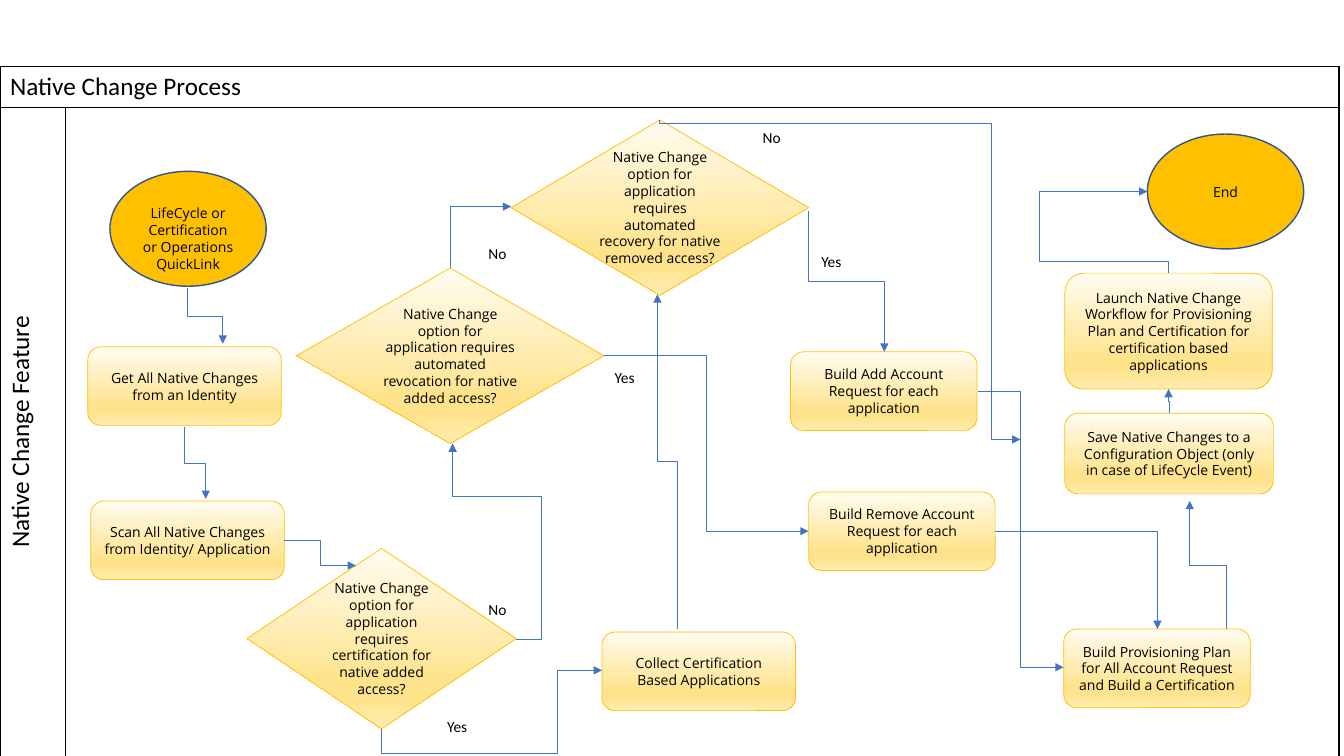
from lxml import etree
from pptx import Presentation
from pptx.dml.color import RGBColor
from pptx.enum.shapes import MSO_CONNECTOR, MSO_SHAPE
from pptx.enum.text import MSO_ANCHOR, PP_ALIGN
from pptx.oxml.ns import qn
from pptx.util import Inches, Pt

ELBOW = MSO_CONNECTOR.ELBOW
OVAL, STEP, CHOICE = MSO_SHAPE.OVAL, MSO_SHAPE.ROUNDED_RECTANGLE, MSO_SHAPE.DIAMOND
CENTER, LEFT, MIDDLE = PP_ALIGN.CENTER, PP_ALIGN.LEFT, MSO_ANCHOR.MIDDLE

# Every length counts columns and rows of this square grid.
CELL = Inches(0.1)
COLORS = {"text": "000000", "oval": "FFC000", "oval line": "325491",
          "step line": "FFC000", "route": "4472C4", "border": "000000"}
GRADIENT = [(0, "FFFCF2"), (51, "FFEBAC"), (74, "FFE38C"), (83, "FFE38C"), (100, "FFECB2")]
FONTS = {"lane": {"name": "Calibri", "size": Pt(18)},
         "box": {"name": "Open Sans", "size": Pt(10)},
         "label": {"name": "Calibri", "size": Pt(11)}}
BOX_FRAME = {"word_wrap": True, "vertical_anchor": MIDDLE}
LABEL_FRAME = {**BOX_FRAME, "margin_left": 0, "margin_right": 0}


def write(frame, text, font, alignment=CENTER):
    """Fill a text frame with one paragraph in the named font format."""
    para = frame.paragraphs[0]
    para.alignment = alignment
    span = para.add_run()
    span.text = text
    for name, value in FONTS[font].items():
        setattr(span.font, name, value)
    span.font.color.rgb = RGBColor.from_string(COLORS["text"])


def add_route(page, start, end, axis, shares):
    """Draw an elbow arrow leaving along axis, turning at shares of its extent."""
    across, down = end[0] - start[0], end[1] - start[1]
    center = [(a + b) / 2 for a, b in zip(start, end)]
    if axis == "x":
        width, height, turn = abs(across), abs(down), 0
        flips = [across < 0, down < 0]
    else:
        width, height, turn = abs(down), abs(across), 90
        flips = [down < 0, across > 0]
        if flips[0] != flips[1]:
            turn, flips = 270, flips[::-1]
    left, top = center[0] - width / 2, center[1] - height / 2
    corners = [round(n * CELL) for n in (left, top, left + width, top + height)]
    route = page.shapes.add_connector(ELBOW, *corners)
    route.line.color.rgb = RGBColor.from_string(COLORS["route"])
    route.line.width = Pt(0.5)
    properties = route.element.spPr
    frame = properties.find(qn("a:xfrm"))
    frame.set("rot", str(turn * 60000))
    for name, flip in zip(("flipH", "flipV"), flips):
        frame.set(name, str(int(flip)))
    geometry = properties.find(qn("a:prstGeom"))
    geometry.set("prst", f"bentConnector{len(shares) + 2}")
    guides = geometry.find(qn("a:avLst"))
    for number, share in enumerate(shares, 1):
        etree.SubElement(guides, qn("a:gd"), name=f"adj{number}",
                         fmla=f"val {round(share * 100000)}")
    etree.SubElement(properties.find(qn("a:ln")), qn("a:tailEnd"), type="triangle")
    etree.SubElement(properties, qn("a:effectLst"))


deck = Presentation()
deck.slide_width, deck.slide_height = Inches(13.33), Inches(7.5)
page = deck.slides.add_slide(deck.slide_layouts[6])

# Swimlane table
columns, rows = (6.5, 126.3), (4, 64.4)
lanes = page.shapes.add_table(2, 2, 0, round(6.6 * CELL), round(sum(columns) * CELL),
                              round(sum(rows) * CELL)).table
for column, width in zip(lanes.columns, columns):
    column.width = round(width * CELL)
for row, height in zip(lanes.rows, rows):
    row.height = round(height * CELL)
for cell in lanes.iter_cells():
    properties = cell._tc.get_or_add_tcPr()
    for side in ("lnL", "lnR", "lnT", "lnB"):
        border = etree.SubElement(properties, qn(f"a:{side}"), w=str(Pt(1)))
        paint = etree.SubElement(border, qn("a:solidFill"))
        etree.SubElement(paint, qn("a:srgbClr"), val=COLORS["border"])
    cell.fill.background()
lanes.cell(0, 0).merge(lanes.cell(0, 1))
write(lanes.cell(0, 0).text_frame, "Native Change Process", "lane", LEFT)
write(lanes.cell(1, 0).text_frame, "Native Change Feature", "lane")
lanes.cell(1, 0)._tc.get_or_add_tcPr().set("vert", "vert270")

# Process boxes: kind, left, top, width, height, text
question = "Native Change option for application requires "
boxes = [
    (OVAL, 10.9, 17, 15.5, 11.4, "LifeCycle or Certification or Operations QuickLink"),
    (STEP, 8.7, 34.4, 19.2, 7.8, "Get All Native Changes from an Identity"),
    (STEP, 9, 49.7, 19.2, 7.8, "Scan All Native Changes from Identity/ Application"),
    (CHOICE, 24.5, 54.4, 26.7, 17.9, question + "certification for native added access?"),
    (CHOICE, 29.4, 26.6, 30.5, 17.4,
     question + "automated revocation for native added access?"),
    (CHOICE, 50.7, 11.9, 29.5, 17.4,
     question + "automated recovery for native removed access?"),
    (STEP, 59.7, 62.7, 19.2, 7.8, "Collect Certification Based Applications"),
    (STEP, 78.4, 34.9, 18.5, 7.8, "Build Add Account Request for each application"),
    (STEP, 80.2, 48.8, 18.5, 7.8, "Build Remove Account Request for each application"),
    (STEP, 105.5, 62.4, 18.5, 7.8,
     "Build Provisioning Plan for All Account Request and Build a Certification"),
    (STEP, 105.6, 41, 20.7, 8,
     "Save Native Changes to a Configuration Object (only in case of LifeCycle Event)"),
    (STEP, 105.6, 27.1, 20.6, 11.5,
     "Launch Native Change Workflow for Provisioning Plan and Certification "
     "for certification based applications"),
    (OVAL, 113.8, 13.3, 15.5, 11.4, "End"),
]
for kind, *place, text in boxes:
    box = page.shapes.add_shape(kind, *(round(n * CELL) for n in place))
    box.shadow.inherit = False
    look = "oval line" if kind == OVAL else "step line"
    box.line.color.rgb = RGBColor.from_string(COLORS[look])
    box.line.width = Pt(1 if kind == OVAL else 0.5)
    if kind == OVAL:
        box.fill.solid()
        box.fill.fore_color.rgb = RGBColor.from_string(COLORS["oval"])
    else:
        box.fill.gradient()
        box.fill.gradient_angle = 270
        stops = box.element.spPr.find(qn("a:gradFill")).find(qn("a:gsLst"))
        for stop in list(stops):
            stops.remove(stop)
        for percent, color in GRADIENT:
            stop = etree.SubElement(stops, qn("a:gs"), pos=str(percent * 1000))
            etree.SubElement(stop, qn("a:srgbClr"), val=color)
    for name, value in BOX_FRAME.items():
        setattr(box.text_frame, name, value)
    if text.startswith("LifeCycle"):
        box.text_frame.margin_top = Inches(0.24)
    write(box.text_frame, text, "box")

# Arrows: start, end, first axis, shares of the extent at which they turn
HALF = (0.5,)
routes = [
    ((18.6, 28.6), (22.1, 34.1), "y", HALF),
    ((18.3, 42.4), (20.4, 49.5), "y", HALF),
    ((28.2, 53.6), (35.3, 56.1), "x", HALF),
    ((37.8, 72.3), (59.7, 66.5), "y", (-0.43, 0.8)),
    ((51.2, 63.4), (44.9, 44), "x", (-0.4, 0.73)),
    ((67.2, 62.4), (65.2, 29.2), "y", HALF),
    ((59.9, 35.3), (80.2, 52.7), "x", HALF),
    ((44.7, 26.6), (50.7, 20.5), "y", ()),
    ((80.2, 20.9), (87.7, 34.9), "y", HALF),
    ((97, 38.8), (105.5, 66.2), "x", HALF),
    ((98.7, 52.7), (114.8, 62.4), "x", ()),
    ((121.6, 62.4), (118, 49.7), "y", HALF),
    ((116, 41), (115.9, 38.6), "y", HALF),
    ((115.9, 27.1), (113.8, 19), "y", (0.15, 6.11)),
    ((65.4, 11.9), (101.2, 43.6), "y", (0.01, 0.92)),
]
for route in routes:
    add_route(page, *route)

# Answers beside the decisions
answers = {"No": [(47.1, 58.7), (47.1, 23.4), (74.3, 11.9)],
           "Yes": [(43.1, 70.3), (59.7, 35.7), (80.2, 24.2)]}
for answer, places in answers.items():
    for place in places:
        label = page.shapes.add_textbox(*(round(n * CELL) for n in (*place, 4.5, 3.5)))
        for name, value in LABEL_FRAME.items():
            setattr(label.text_frame, name, value)
        write(label.text_frame, answer, "label")

deck.save("out.pptx")
